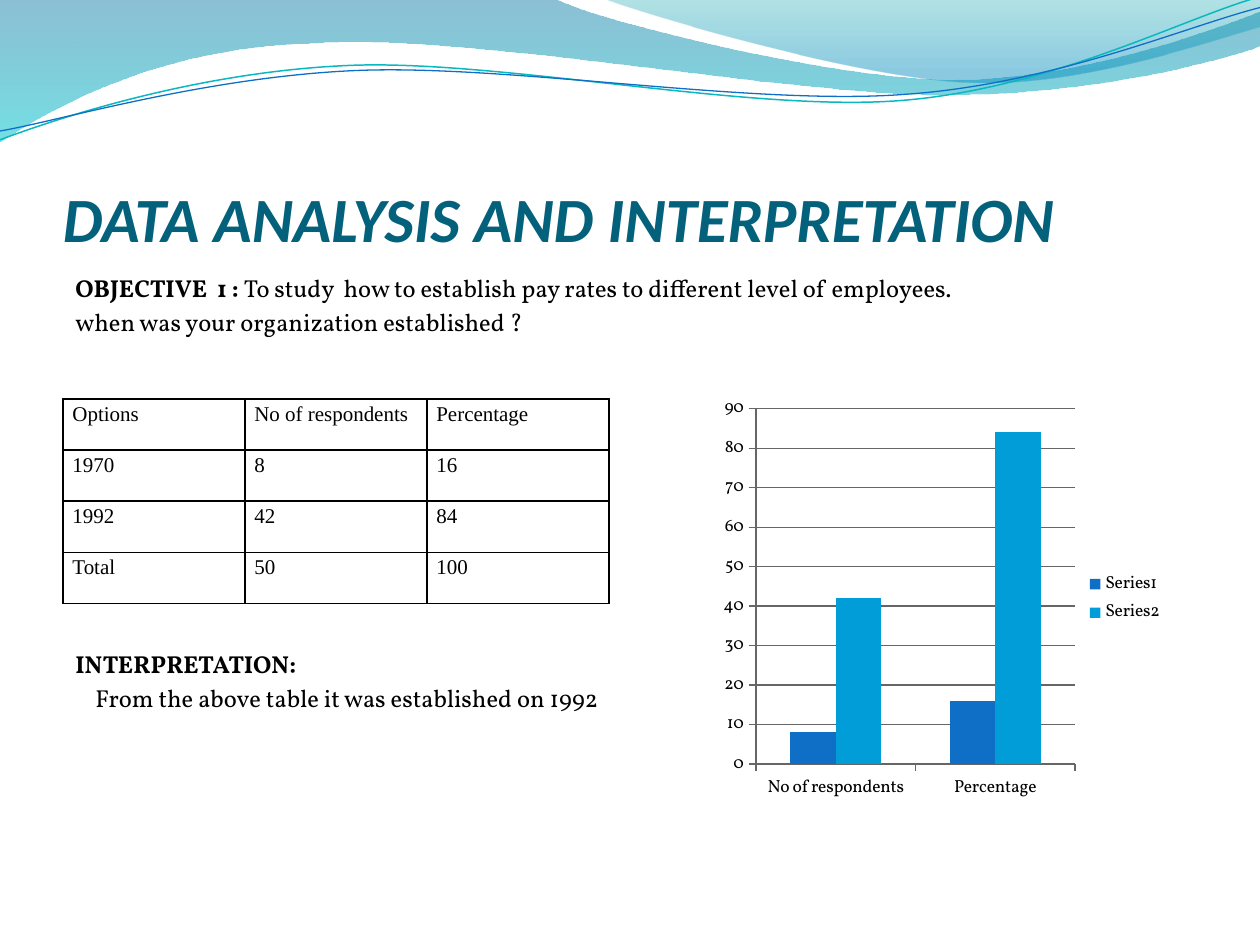
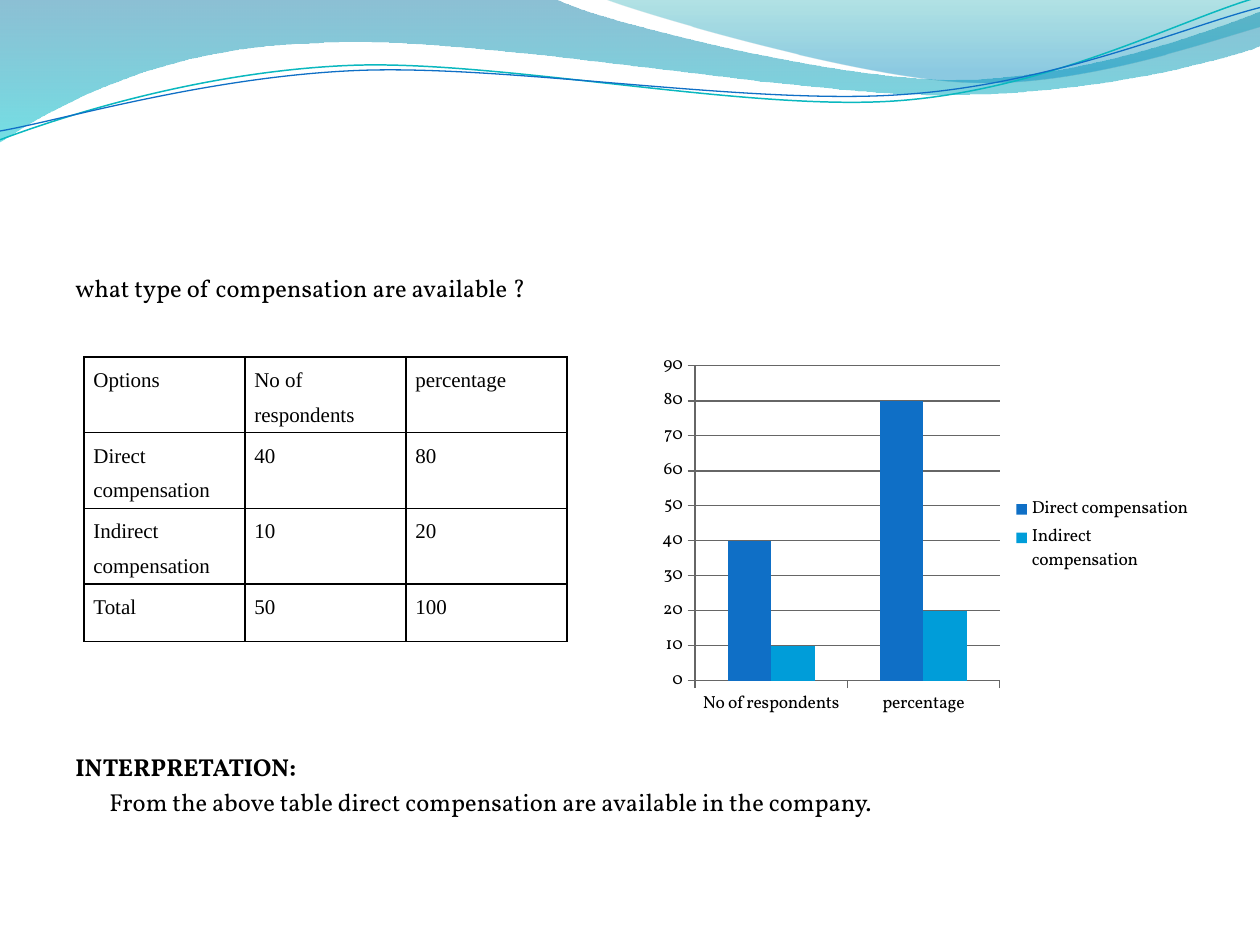
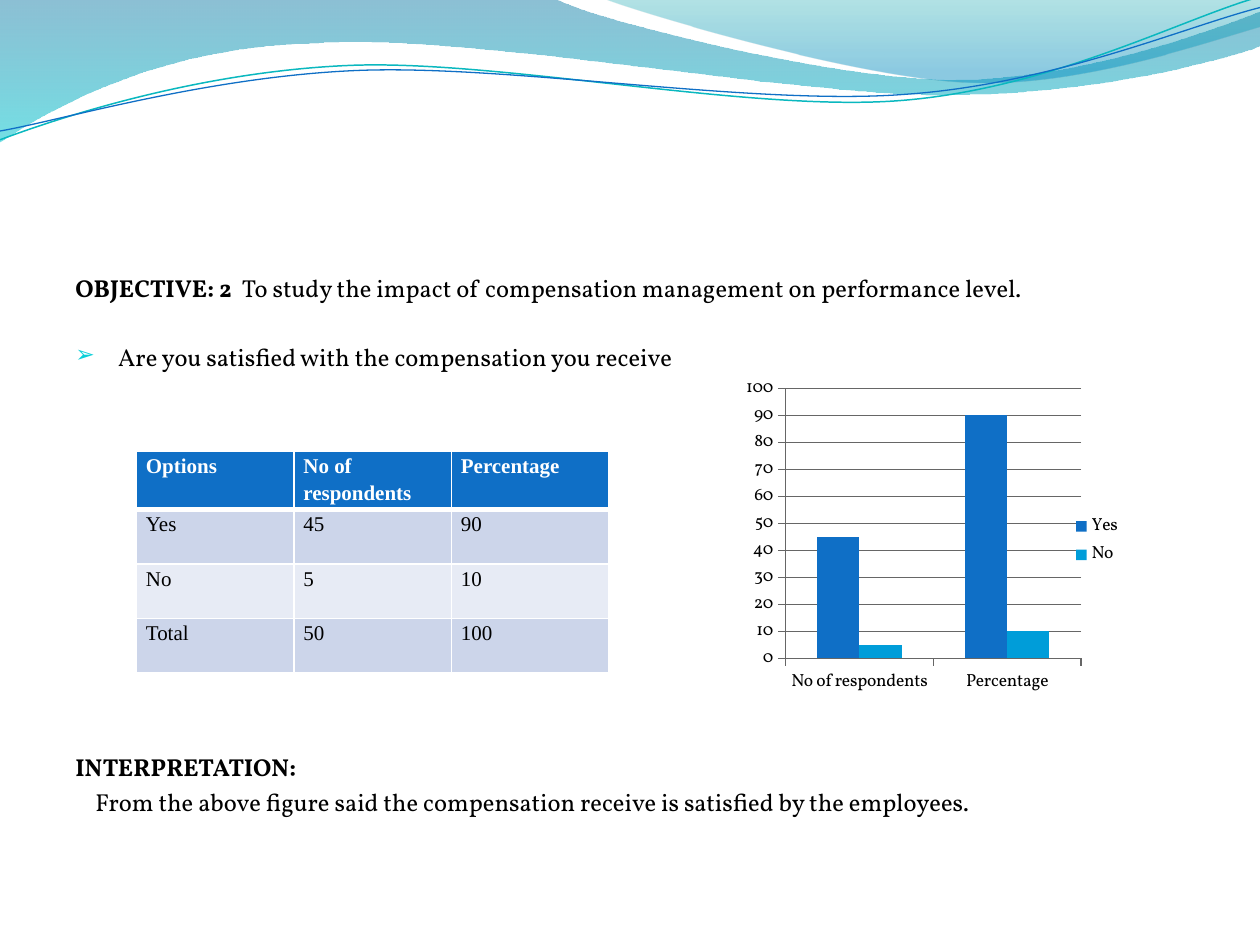
from pptx import Presentation
from pptx.chart.data import CategoryChartData as ChartData
from pptx.dml.color import RGBColor
from pptx.enum.chart import XL_CHART_TYPE as ChartType, XL_LEGEND_POSITION as LegendPosition
from pptx.enum.chart import XL_TICK_MARK as TickMark
from pptx.enum.text import MSO_ANCHOR as Anchor
from pptx.oxml import parse_xml
from pptx.oxml.ns import nsdecls, qn
from pptx.util import Inches, Pt
from lxml.etree import SubElement

COLORS = {
    "title": "04617B", "text": "000000", "white": "FFFFFF", "bullet": "0BD0D9",
    "blue": "0F6FC6", "sky": "009DD9", "teal": "0AB8BF", "axis": "666666",
    "band_dark": "CCD5EA", "band_light": "E7EBF5",
    "wave_top": "0074A1", "wave_bottom": "00C6CF", "crest_top": "00A1A9", "crest_bottom": "008BBF",
}
WIDTH, HEIGHT = Inches(10), Inches(7.5)
CELL = WIDTH // 120
PERCENT = WIDTH // 100
TITLE_BOX = (6, 9.25, 108, 15)
BODY_BOX = (6, 25.44, 108, 57.6)

WAVES = [
    {"start": (0, 0), "gradient": [(0, "wave_top", 45), (1, "wave_bottom", 55)], "segments": [
        [(44, -0.1)],
        [(47.6, 1.7), (66.4, 6.3), (75.8, 6.3)],
        [(85.3, 6.3), (95.8, 2.6), (100, 0.9)],
        [(100.1, 3.6)],
        [(98.3, 4.4), (87, 7.6), (74.6, 7.5)],
        [(62.2, 7.5), (38.2, 2.8), (25.7, 3.4)],
        [(12.9, 3.6), (4.6, 8.3), (-0.1, 11.3)],
        [(0, 0)]]},
    {"start": (47.9, -0.1), "gradient": [(0, "crest_top", 30), (0.8, "crest_bottom", 45)], "segments": [
        [(50.9, 1.1), (68.2, 6.2), (76.9, 6.5)],
        [(85.6, 6.9), (96.1, 3.2), (100, 2.1)],
        [(100, 0)],
        [(47.9, -0.1)]]},
    {"start": (0, 11.1), "line": ("teal", 0.85), "segments": [
        [(4.8, 9.3), (15.8, 5.7), (27.7, 5.2)],
        [(39.5, 4.7), (59.3, 8.9), (71.3, 8)],
        [(83.3, 7.1), (93.8, 1.5), (99.8, -0.2)]]},
    {"start": (0, 10.4), "line": ("blue", 0.75), "segments": [
        [(4.7, 9.6), (16.4, 6.1), (28.3, 5.6)],
        [(40.3, 5.1), (59.7, 8.4), (71.7, 7.5)],
        [(83.6, 6.7), (94.1, 2.1), (100, 0.6)]]},
]


def rgb(name):
    """Return the named colour."""
    return RGBColor.from_string(COLORS[name])


def assign(target, values):
    """Set each format value on the target."""
    for name, value in values.items():
        setattr(target, name, value)


def cells(place):
    """Turn grid cells into whole EMU lengths."""
    return [round(n * CELL) for n in place]


def bend(shape, segments):
    """Join each three straight steps of a curved segment into one Bezier step."""
    steps = iter(list(shape._element.iter(qn("a:lnTo"))))
    for segment in segments:
        group = [next(steps) for _ in segment]
        if len(group) == 3:
            group[0].tag
            curve = group[0].getparent().makeelement(qn("a:cubicBezTo"))
            group[0].addprevious(curve)
            for step in group:
                curve.append(step[0])
                step.getparent().remove(step)


class Deck:
    """Hold the shared style and the current slide."""

    body = {"size": Pt(14), "name": "Vollkorn", "bold": False}
    heading = {"size": Pt(36), "name": "Calibri", "bold": True, "italic": True}
    table_text = {"size": Pt(12), "name": "Times New Roman", "bold": False}
    chart_text = {"size": Pt(10), "name": "Vollkorn"}

    def __init__(self):
        """Start an empty presentation."""
        self.presentation = Presentation()
        assign(self.presentation, {"slide_width": WIDTH, "slide_height": HEIGHT})

    def new_slide(self):
        """Add a blank slide, and with the first one the shared waves."""
        slides = self.presentation.slides
        self.slide = slides.add_slide(self.presentation.slide_layouts[6])
        if len(slides) == 1:
            for number, wave in enumerate(WAVES, 20):
                element = self.wave(**wave)._element
                element.nvSpPr.cNvPr.id = number
                self.presentation.slide_master.shapes._spTree.append(element)

    def wave(self, start, segments, gradient=None, line=None):
        """Draw one filled wave or one wavy line."""
        first, *rest = [(round(x * PERCENT), round(y * PERCENT))
                        for x, y in [start, *sum(segments, [])]]
        builder = self.slide.shapes.build_freeform(*first)
        builder.add_line_segments(rest, close=bool(gradient))
        shape = builder.convert_to_shape()
        bend(shape, segments)
        shape.shadow.inherit = False
        if line:
            shape.fill.background()
            shape.line.color.rgb, shape.line.width = rgb(line[0]), Pt(line[1])
            return shape
        shape.line.fill.background()
        shape.fill.gradient()
        shape.fill.gradient_angle = 270
        for stop, (position, color, _) in zip(shape.fill.gradient_stops, gradient):
            stop.position = position
            stop.color.rgb = rgb(color)
        for element, (_, _, alpha) in zip(shape._element.spPr.iter(qn("a:srgbClr")), gradient):
            SubElement(element, qn("a:alpha"), val=str(alpha * 1000))
        return shape

    def run(self, paragraph, text, style, color="text", **changes):
        """Add one styled run to a paragraph."""
        run = paragraph.add_run()
        run.text = text
        assign(run.font, {**style, **changes})
        run.font.color.rgb = rgb(color)

    def text_frame(self, place, **values):
        """Add a text box and return its frame."""
        frame = self.slide.shapes.add_textbox(*cells(place)).text_frame
        assign(frame, {"word_wrap": True, **values})
        return frame

    def title(self, text):
        """Add the slide title."""
        frame = self.text_frame(TITLE_BOX, vertical_anchor=Anchor.BOTTOM,
                                margin_left=0, margin_right=0, margin_bottom=0)
        self.run(frame.paragraphs[0], text, self.heading, "title")

    def body_text(self):
        """Start the body box of the slide."""
        self.frame = self.text_frame(BODY_BOX)

    def line(self, *runs, gap=0, indent=0, bullet=None):
        """Add a body paragraph of (text, bold) runs after a gap in points."""
        paragraph = self.frame.paragraphs[0]
        if paragraph.runs:
            paragraph = self.frame.add_paragraph()
        paragraph.space_before = Pt(gap)
        for text, bold in runs:
            self.run(paragraph, text, self.body, bold=bold)
        properties = paragraph._p.get_or_add_pPr()
        properties.set("marL", str(Inches(indent)))
        if bullet:
            properties.set("indent", str(-Inches(indent)))
            color = SubElement(properties, qn("a:buClr"))
            SubElement(color, qn("a:srgbClr"), val=COLORS["bullet"])
            SubElement(properties, qn("a:buSzPct"), val="95000")
            SubElement(properties, qn("a:buFont"), typeface=self.body["name"])
            SubElement(properties, qn("a:buChar"), char=bullet)

    def interpretation(self, text, gap, indent):
        """Add the bold label and its indented finding."""
        self.line(("INTERPRETATION:", True), gap=gap)
        self.line((text, False), gap=3, indent=indent)

    def borders(self, cell, color, bottom=1):
        """Draw the four borders of a cell."""
        properties = cell._tc.get_or_add_tcPr()
        for side, width in zip("LRTB", (1, 1, 1, bottom)):
            line = SubElement(properties, qn(f"a:ln{side}"), w=str(Pt(width)))
            fill = SubElement(line, qn("a:solidFill"))
            SubElement(fill, qn("a:srgbClr"), val=COLORS[color])

    def table(self, left, top, width, heights, rows, spacing=1.15, banded=False):
        """Add a table with equal columns, plain or banded."""
        place = cells((left, top, width, sum(heights)))
        table = self.slide.shapes.add_table(len(rows), len(rows[0]), *place).table
        assign(table, {"first_row": banded, "horz_banding": banded})
        for row_index, (row, height) in enumerate(zip(rows, heights)):
            table.rows[row_index].height = round(height * CELL)
            header = banded and row_index == 0
            for column_index, text in enumerate(row):
                cell = table.cell(row_index, column_index)
                assign(cell, {"margin_left": Pt(5.4), "margin_right": Pt(5.4),
                              "margin_top": 0, "margin_bottom": 0})
                self.borders(cell, "white" if banded else "text", 3 if header else 1)
                if banded:
                    cell.fill.solid()
                    band = "band_dark" if row_index % 2 else "band_light"
                    cell.fill.fore_color.rgb = rgb("blue" if header else band)
                else:
                    cell.fill.background()
                paragraph = cell.text_frame.paragraphs[0]
                paragraph.line_spacing = spacing
                self.run(paragraph, text, self.table_text, "white" if header else "text", bold=header)

    def chart(self, place, categories, series, maximum, layout=None):
        """Add a clustered column chart with a legend on the right."""
        data = ChartData()
        data.categories = categories
        for name, values in series:
            data.add_series(name, values)
        chart = self.slide.shapes.add_chart(ChartType.COLUMN_CLUSTERED, *cells(place), data).chart
        assign(chart, {"has_title": False, "has_legend": True})
        assign(chart.font, self.chart_text)
        chart.font.color.rgb = rgb("text")
        assign(chart.legend, {"position": LegendPosition.RIGHT, "include_in_layout": False})
        assign(chart.value_axis, {"minimum_scale": 0, "maximum_scale": maximum, "major_unit": 10,
                                  "has_major_gridlines": True})
        for axis in (chart.category_axis, chart.value_axis):
            axis.major_tick_mark = TickMark.OUTSIDE
        for target in (chart.category_axis, chart.value_axis, chart.value_axis.major_gridlines):
            target.format.line.color.rgb = rgb("axis")
            target.format.line.width = Pt(0.75)
        plot = chart.plots[0]
        assign(plot, {"gap_width": 150, "overlap": 0, "vary_by_categories": False})
        for bars, color, (name, _) in zip(plot.series, ("blue", "sky"), series):
            bars.format.fill.solid()
            bars.format.fill.fore_color.rgb = rgb(color)
            if not name:
                bars._element.remove(bars._element.find(qn("c:tx")))
        if layout:
            self.plot_layout(chart, layout)

    def plot_layout(self, chart, layout):
        """Fix the inner plot area as shares of the chart."""
        area = chart._chartSpace.chart.plotArea
        for old in area.findall(qn("c:layout")):
            area.remove(old)
        modes = "".join(f'<c:{name}Mode val="edge"/>' for name in "xy")
        sizes = "".join(f'<c:{name} val="{value}"/>' for name, value in zip("xywh", layout))
        area.insert(0, parse_xml(
            f'<c:layout {nsdecls("c")}><c:manualLayout><c:layoutTarget val="inner"/>'
            f'{modes}{sizes}</c:manualLayout></c:layout>'))


deck = Deck()

deck.new_slide()
deck.title("DATA ANALYSIS AND INTERPRETATION")
deck.body_text()
deck.line(("OBJECTIVE  1 : ", True),
          ("To study  how to establish pay rates to different level of employees.", False))
deck.line(("when was your organization established ? ", False), gap=2.3)
deck.interpretation("From the above table it was established on 1992 ", 178.5, 0.16)
deck.table(6, 38, 52, [4.87] * 4, [
    ("Options", "No of respondents", "Percentage"),
    ("1970", "8", "16"), ("1992", "42", "84"), ("Total", "50", "100")])
deck.chart((68, 37, 44, 40), ("No of respondents", "Percentage"),
           [("", (8, 16)), ("", (42, 84))], 90)

deck.new_slide()
deck.body_text()
deck.line(("what type of compensation are available ?", False))
deck.interpretation("From the above table direct compensation are available in the company.", 257, 0.27)
deck.table(8, 34, 46, [5.5] * 4, [
    ("Options", "No of respondents", "percentage"),
    ("Direct compensation ", "40", "80"), ("Indirect compensation", "10", "20"),
    ("Total", "50", "100")], spacing=1.5)
deck.chart((62, 33, 53, 36), ("No of respondents", "percentage"),
           [("Direct compensation ", (40, 80)), ("Indirect compensation", (10, 20))], 90)

deck.new_slide()
deck.body_text()
deck.line(("OBJECTIVE: 2  ", True),
          ("To study the impact of compensation management on performance level.", False))
deck.line(("Are you satisfied with the compensation you receive", False),
          gap=22.3, indent=0.34, bullet="\u27a2")
deck.interpretation("From the above figure said the compensation receive is satisfied by the employees.",
                    217.6, 0.16)
deck.table(13, 43, 45, [4, 5.2, 5.2, 5.2], [
    ("Options", "No of respondents", "Percentage"),
    ("Yes", "45", "90"), ("No", "5", "10"), ("Total", "50", "100")], banded=True)
deck.chart((66, 35, 42, 33), ("No of respondents", "Percentage"),
           [("Yes", (45, 90)), ("No", (5, 10))], 100, layout=(0.21, 0.06, 0.67, 0.78))

deck.presentation.save("out.pptx")
